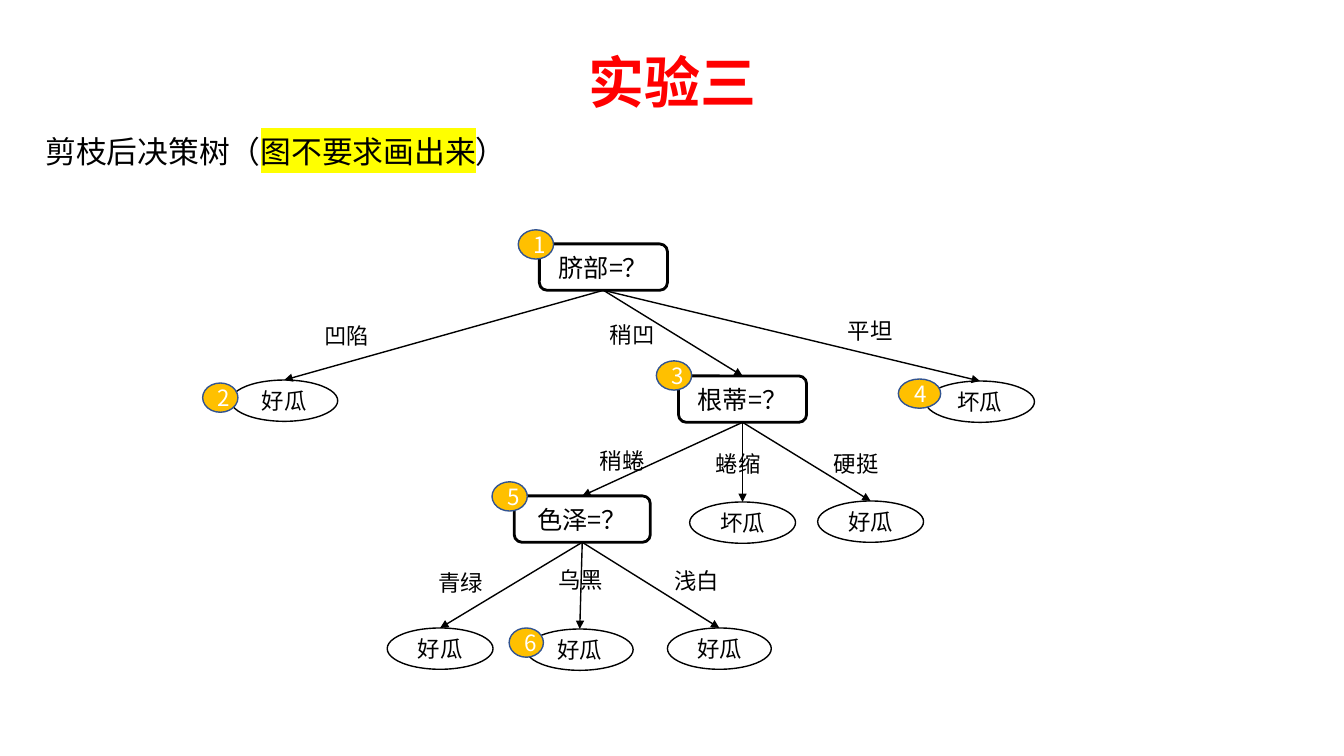
"""Build a slide showing the pruned decision tree for the melon experiment."""
from lxml.etree import SubElement
from pptx import Presentation
from pptx.dml.color import RGBColor
from pptx.enum.shapes import MSO_CONNECTOR, MSO_SHAPE
from pptx.enum.text import MSO_ANCHOR, MSO_AUTO_SIZE, PP_ALIGN
from pptx.oxml import parse_xml
from pptx.oxml.ns import nsdecls, qn
from pptx.util import Pt

PX = 9144
FONT = "Noto Sans CJK SC"
BLACK = RGBColor(0x00, 0x00, 0x00)
WHITE = RGBColor(0xFF, 0xFF, 0xFF)
RED = RGBColor(0xFF, 0x00, 0x00)
YELLOW = RGBColor(0xFF, 0xFF, 0x00)
AMBER = RGBColor(0xFF, 0xC0, 0x00)
BLUE = RGBColor(0x32, 0x54, 0x91)


def add_text(box, text, size=16, color=BLACK, bold=False, align=PP_ALIGN.CENTER,
             highlight=None, label=False):
    """Append a formatted run to the first paragraph of a shape."""
    frame = box.text_frame
    frame.word_wrap = True
    para = frame.paragraphs[0]
    para.alignment = align
    if label:
        frame.margin_left = PX
        frame.margin_top = PX
        frame.margin_right = frame.margin_bottom = 0
        frame.auto_size = MSO_AUTO_SIZE.SHAPE_TO_FIT_TEXT
        para.space_before = Pt(1)
    else:
        frame.vertical_anchor = MSO_ANCHOR.MIDDLE
    span = para.add_run()
    span.text = text
    span.font.size = Pt(size)
    span.font.bold = bold
    span.font.color.rgb = color
    span.font.name = FONT
    latin = span.font._element.find(qn("a:latin"))
    latin.addnext(parse_xml(f'<a:ea {nsdecls("a")} typeface="{FONT}"/>'))
    if highlight is not None:
        latin.addprevious(parse_xml(
            f'<a:highlight {nsdecls("a")}><a:srgbClr val="{highlight}"/></a:highlight>'))


def add_node(kind, place, text, size=16, color=BLACK, fill=None, line=BLACK, width=1):
    """Draw one outlined shape of the tree with its text."""
    node = page.shapes.add_shape(kind, *[value * PX for value in place])
    node.shadow.inherit = False
    if fill is None:
        node.fill.background()
    else:
        node.fill.solid()
        node.fill.fore_color.rgb = fill
    node.line.color.rgb = line
    node.line.width = Pt(width)
    add_text(node, text, size=size, color=color)
    return node


deck = Presentation()
deck.slide_width, deck.slide_height = 1333 * PX, 750 * PX
page = deck.slides.add_slide(deck.slide_layouts[5])

title = page.shapes.title
title.left, title.top, title.width, title.height = 92 * PX, 40 * PX, 1150 * PX, 89 * PX
title.text_frame.paragraphs[0].line_spacing = 0.9
add_text(title, "实验三", size=40, color=RED, bold=True)

subtitle = page.shapes.add_textbox(44 * PX, 131 * PX, 655 * PX, 38 * PX)
for text, highlight in [("剪枝后决策树（", None), ("图不要求画出来", YELLOW), ("）", None)]:
    add_text(subtitle, text, size=22, align=PP_ALIGN.LEFT, highlight=highlight, label=True)

questions = [
    ("脐部=？", 535, 242, 127),
    ("根蒂=？", 673, 373, 127),
    ("色泽=？", 510, 492, 135),
]
navel, stem, hue = [
    add_node(MSO_SHAPE.ROUNDED_RECTANGLE, (left, top, width, 46), text, size=18, width=2)
    for text, left, top, width in questions
]

leaves = [
    (navel, "好瓜", 229, 377, 106),
    (navel, "坏瓜", 918, 378, 108),
    (stem, "坏瓜", 684, 498, 105),
    (stem, "好瓜", 811, 497, 105),
    (hue, "好瓜", 384, 623, 105),
    (hue, "好瓜", 522, 624, 106),
    (hue, "好瓜", 662, 623, 103),
]
branches = [(navel, stem), (stem, hue)]
for parent, text, left, top, width in leaves:
    leaf = add_node(MSO_SHAPE.OVAL, (left, top, width, 41), text)
    branches.append((parent, leaf))

for parent, child in branches:
    arrow = page.shapes.add_connector(MSO_CONNECTOR.STRAIGHT, 0, 0, 0, 0)
    arrow.begin_connect(parent, 2)
    arrow.end_connect(child, 0)
    arrow.line.color.rgb = BLACK
    arrow.line.width = Pt(1)
    SubElement(arrow.line._get_or_add_ln(), qn("a:tailEnd"), type="triangle")
    SubElement(arrow._element.spPr, qn("a:effectLst"))

labels = [
    ("凹陷", 321, 319), ("稍凹", 604, 318), ("平坦", 840, 314),
    ("稍蜷", 594, 443), ("蜷缩", 709, 446), ("硬挺", 826, 446),
    ("青绿", 434, 564), ("乌黑", 553, 561), ("浅白", 668, 562),
]
for text, left, top in labels:
    label = page.shapes.add_textbox(left * PX, top * PX, 55 * PX, 28 * PX)
    add_text(label, text, align=PP_ALIGN.LEFT, label=True)

badges = [(514, 228, 35), (201, 380, 35), (651, 358, 35),
          (891, 376, 42), (488, 478, 35), (505, 623, 34)]
for number, (left, top, width) in enumerate(badges, start=1):
    add_node(MSO_SHAPE.OVAL, (left, top, width, 29), str(number),
             color=WHITE, fill=AMBER, line=BLUE)

deck.save("out.pptx")
